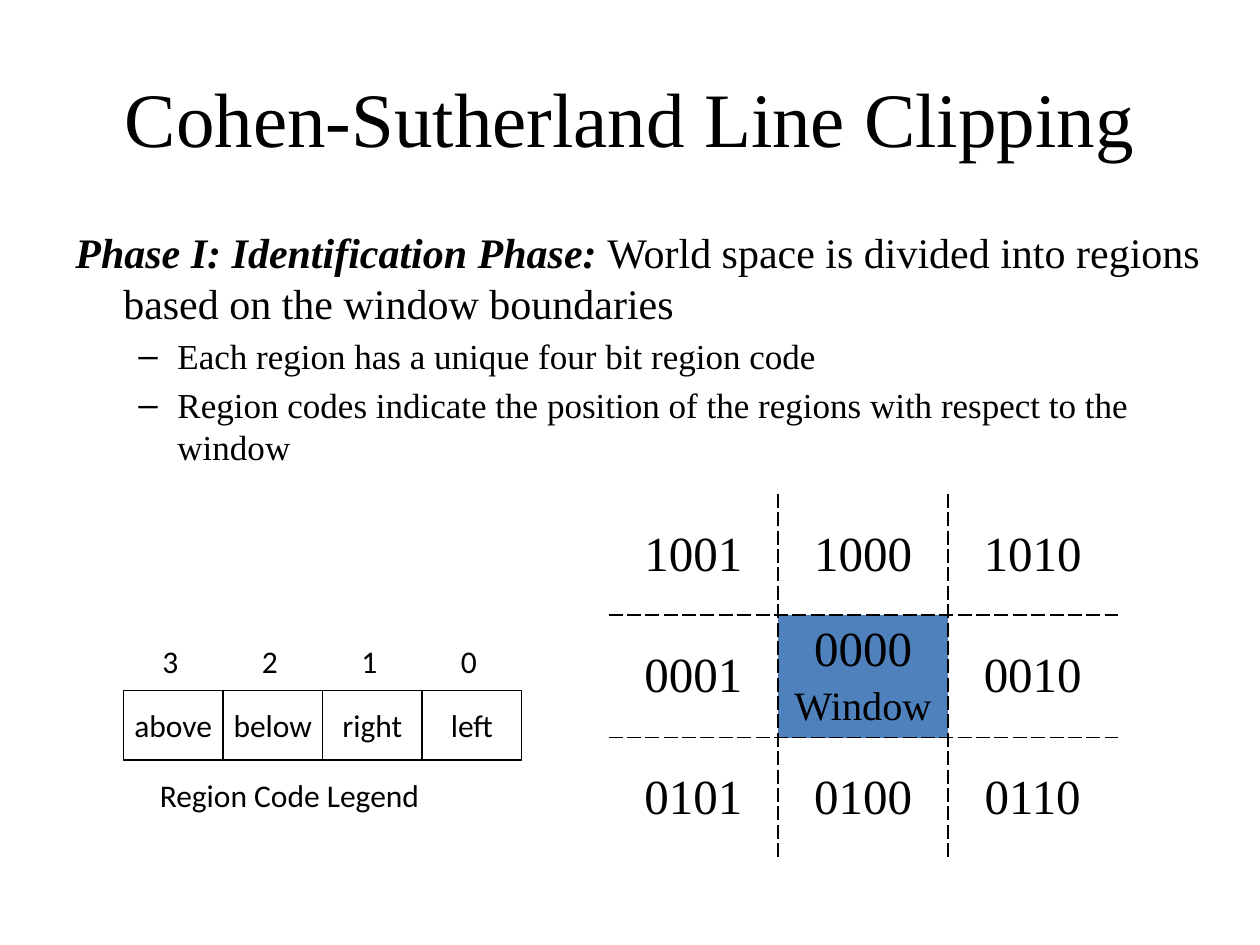
from lxml.etree import SubElement
from pptx import Presentation
from pptx.dml.color import RGBColor
from pptx.enum.shapes import MSO_SHAPE
from pptx.enum.text import MSO_ANCHOR, PP_ALIGN
from pptx.oxml.ns import qn
from pptx.util import Inches, Pt

BLACK = RGBColor(0x00, 0x00, 0x00)
WINDOW_BLUE = RGBColor(0x4F, 0x81, 0xBD)
SERIF = "Times New Roman"
SANS = "Calibri"

REGION_CODES = [
    ["1001", "1000", "1010"],
    ["0001", "0000", "0010"],
    ["0101", "0100", "0110"],
]
LEGEND = [("3", "above"), ("2", "below"), ("1", "right"), ("0", "left")]
BULLETS = [
    "Each region has a unique four bit region code",
    "Region codes indicate the position of the regions with respect to the window",
]


def apply_format(target, values):
    for name, value in values.items():
        setattr(target, name, value)


def add_run(paragraph, text, size, name=SERIF, **values):
    run = paragraph.add_run()
    run.text = text
    apply_format(run.font, {"size": Pt(size), "name": name, **values})
    run.font.color.rgb = BLACK


def add_text_box(shapes, left, top, width, height, **values):
    box = shapes.add_textbox(Inches(left), Inches(top), Inches(width), Inches(height))
    apply_format(box.text_frame, values)
    return box.text_frame


def set_indent(paragraph, left, hanging, bullet=None):
    properties = paragraph._p.get_or_add_pPr()
    properties.set("marL", str(Inches(left)))
    properties.set("indent", str(-Inches(hanging)))
    if bullet:
        SubElement(properties, qn("a:buFont"), typeface="Arial")
        SubElement(properties, qn("a:buChar"), char=bullet)


def add_title(slide):
    frame = add_text_box(slide.shapes, 0.5, 0.3, 9, 1.25,
                         word_wrap=True, vertical_anchor=MSO_ANCHOR.MIDDLE)
    paragraph = frame.paragraphs[0]
    paragraph.alignment = PP_ALIGN.CENTER
    add_run(paragraph, "Cohen-Sutherland Line Clipping", 44)


def add_body(slide):
    frame = add_text_box(slide.shapes, 0.5, 1.75, 9.25, 4.95, word_wrap=True)
    paragraph = frame.paragraphs[0]
    paragraph.space_before = Pt(4.8)
    set_indent(paragraph, 0.38, 0.38)
    add_run(paragraph, "Phase I: Identification Phase: ", 24, bold=True, italic=True)
    add_run(paragraph, "World space is divided into regions based on the window boundaries", 24)
    for text in BULLETS:
        paragraph = frame.add_paragraph()
        apply_format(paragraph, {"level": 1, "space_before": Pt(4)})
        set_indent(paragraph, 0.81, 0.31, "–")
        add_run(paragraph, text, 20)


def set_border(cell, side, visible):
    properties = cell._tc.get_or_add_tcPr()
    line = SubElement(properties, qn(f"a:ln{side}"), w=str(Pt(1)))
    if visible:
        fill = SubElement(line, qn("a:solidFill"))
        SubElement(fill, qn("a:srgbClr"), val=str(BLACK))
        SubElement(line, qn("a:prstDash"), val="sysDash")
    else:
        SubElement(line, qn("a:noFill"))


def fill_region_cell(cell, row, column, code):
    is_window = row == column == 1
    inner = {"L": column > 0, "R": column < 2, "T": row > 0, "B": row < 2}
    for side, visible in inner.items():
        set_border(cell, side, visible)
    apply_format(cell, {"vertical_anchor": MSO_ANCHOR.MIDDLE,
                        "margin_top": Inches(0.03), "margin_bottom": Inches(0.03)})
    lines = [(code, 28)]
    if is_window:
        cell.fill.solid()
        cell.fill.fore_color.rgb = WINDOW_BLUE
        lines.append(("Window", 23))
    else:
        cell.fill.background()
    for index, (text, size) in enumerate(lines):
        frame = cell.text_frame
        paragraph = frame.add_paragraph() if index else frame.paragraphs[0]
        apply_format(paragraph, {"alignment": PP_ALIGN.CENTER, "space_before": Pt(size * 0.2)})
        add_run(paragraph, text, size)


def add_region_table(slide):
    table = slide.shapes.add_table(3, 3, Inches(4.83), Inches(3.92),
                                   Inches(4.04), Inches(2.88)).table
    apply_format(table, {"first_row": False, "horz_banding": False})
    for row, codes in enumerate(REGION_CODES):
        for column, code in enumerate(codes):
            fill_region_cell(table.cell(row, column), row, column, code)


def add_legend_box(shapes, left, text):
    shape = shapes.add_shape(MSO_SHAPE.RECTANGLE, Inches(left), Inches(5.48),
                             Inches(0.79), Inches(0.55))
    shape.shadow.inherit = False
    shape.fill.background()
    shape.line.color.rgb = BLACK
    shape.line.width = Pt(1)
    apply_format(shape.text_frame, {"word_wrap": False, "vertical_anchor": MSO_ANCHOR.MIDDLE})
    paragraph = shape.text_frame.paragraphs[0]
    paragraph.alignment = PP_ALIGN.CENTER
    add_run(paragraph, text, 18, SANS)


def add_legend_label(shapes, left, top, width, text):
    frame = add_text_box(shapes, left, top, width, 0.4, word_wrap=False)
    add_run(frame.paragraphs[0], text, 18, SANS)


def add_legend(slide):
    shapes = slide.shapes.add_group_shape().shapes
    for index, (bit, position) in enumerate(LEGEND):
        left = 0.98 + index * 0.79
        add_legend_box(shapes, left, position)
        add_legend_label(shapes, left + 0.21, 5.05, 0.34, bit)
    add_legend_label(shapes, 1.17, 6.11, 2.56, "Region Code Legend")


def main():
    presentation = Presentation()
    apply_format(presentation, {"slide_width": Inches(10), "slide_height": Inches(7.5)})
    slide = presentation.slides.add_slide(presentation.slide_layouts[6])
    add_title(slide)
    add_body(slide)
    add_region_table(slide)
    add_legend(slide)
    presentation.save("out.pptx")


if __name__ == "__main__":
    main()
